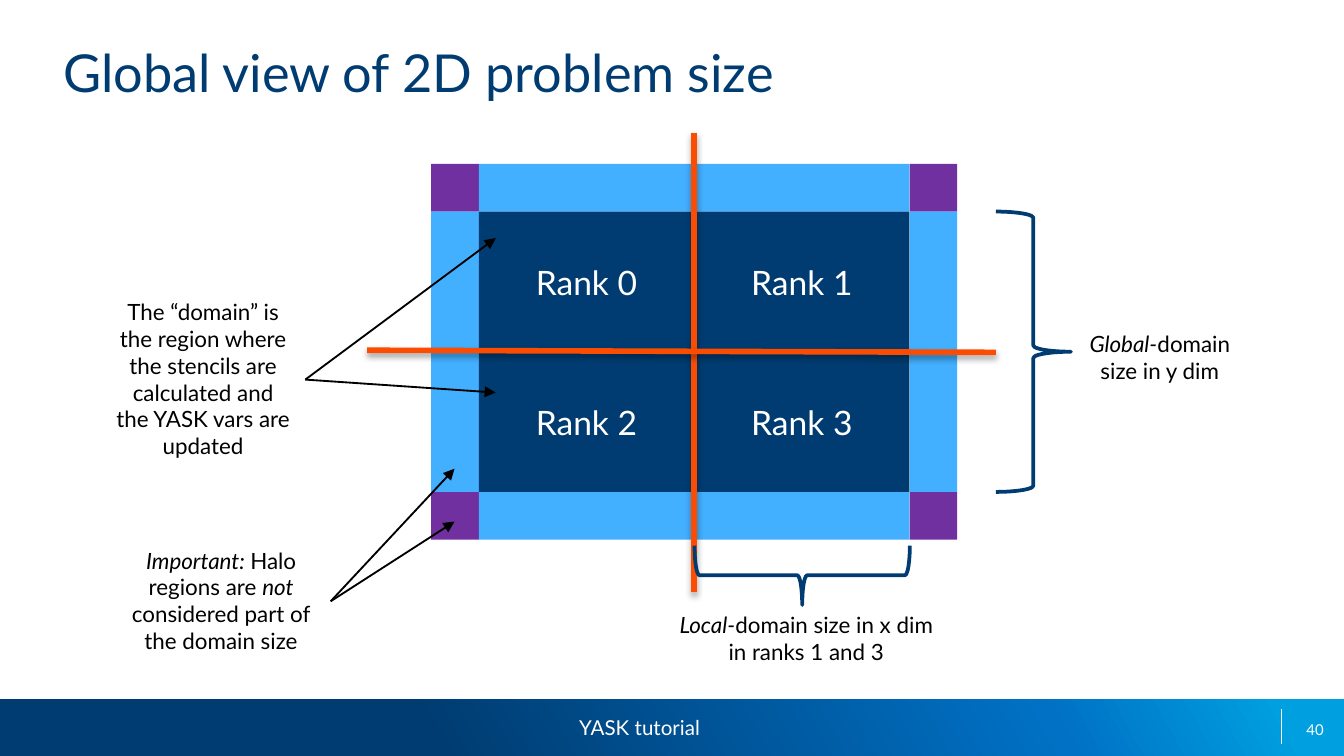
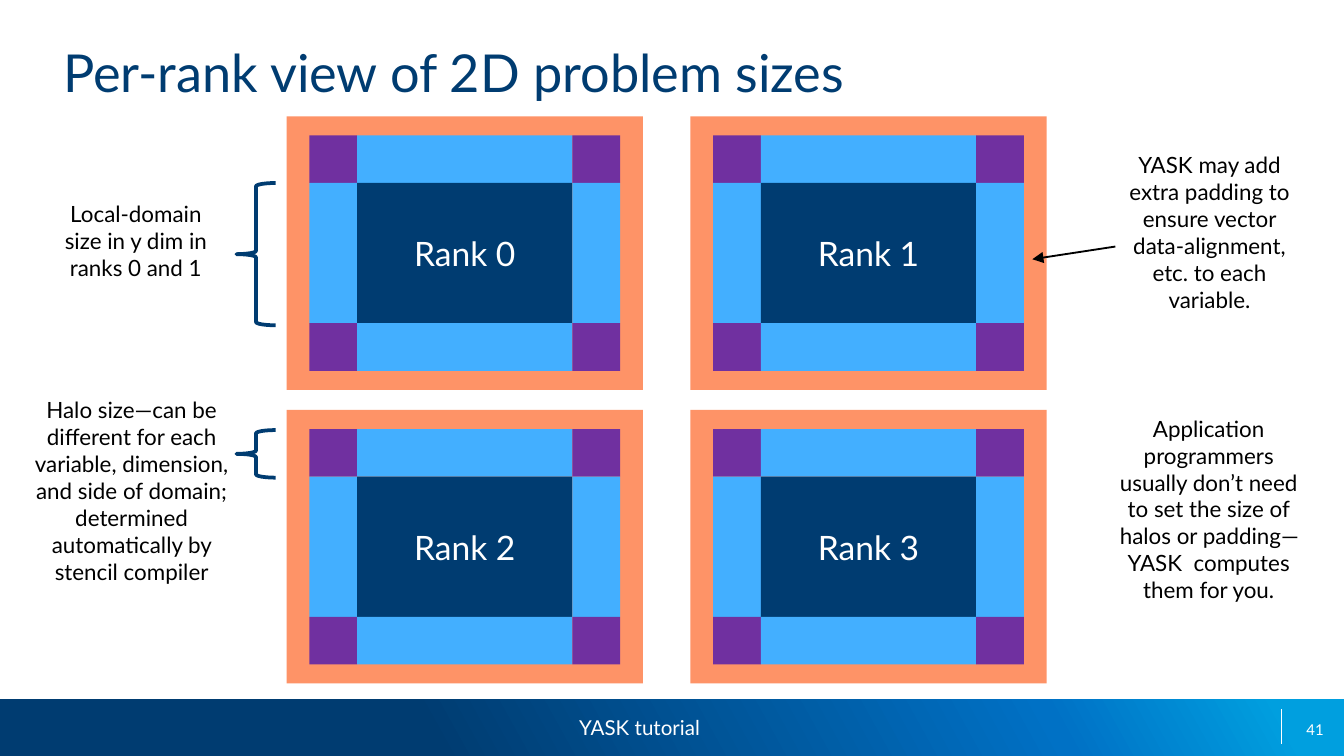
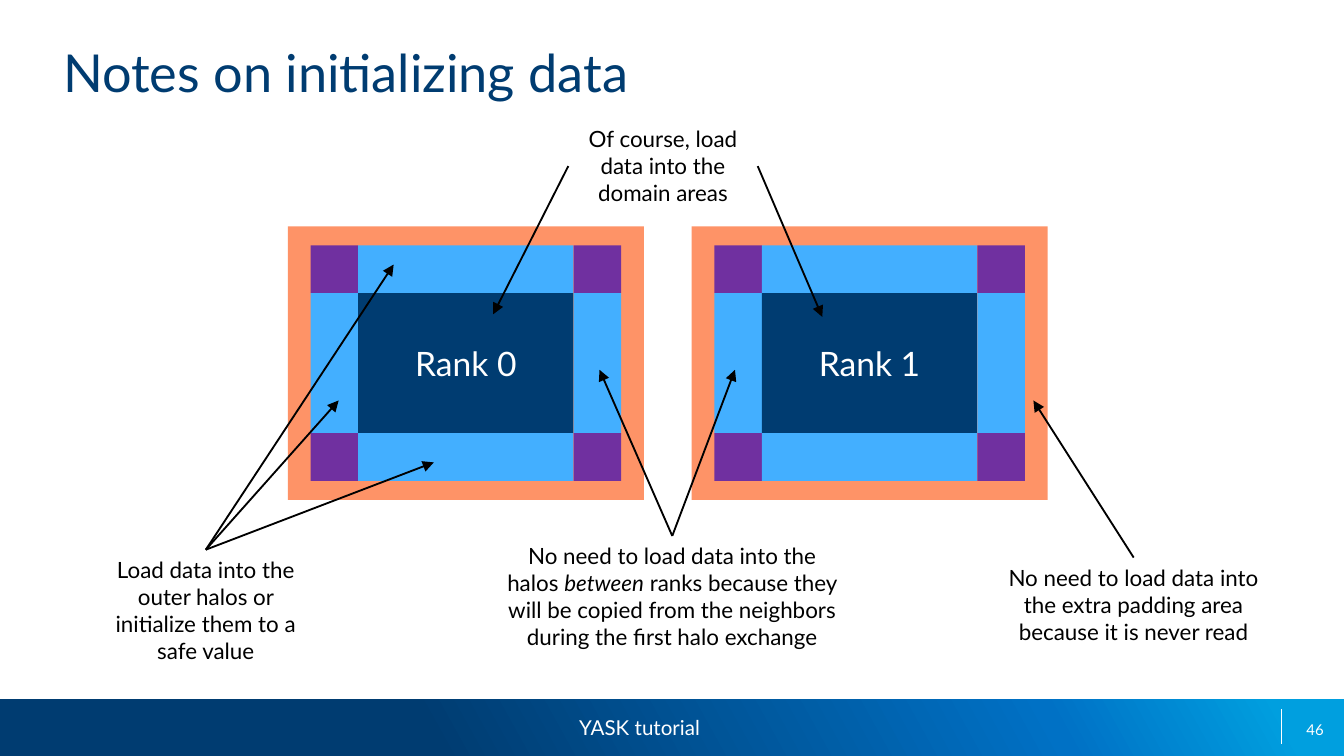
import copy
import itertools

import lxml.etree
import pptx
import pptx.dml.color
import pptx.enum.shapes
import pptx.enum.text
import pptx.oxml
import pptx.oxml.ns
import pptx.util
from pptx.util import Cm

# Shared colours and formats
NAVY = pptx.dml.color.RGBColor(0x00, 0x3C, 0x71)
BLUE = pptx.dml.color.RGBColor(0x00, 0x71, 0xC5)
CYAN = pptx.dml.color.RGBColor(0x00, 0x9F, 0xDF)
LIGHT_BLUE = pptx.dml.color.RGBColor(0x43, 0xAF, 0xFF)
PURPLE = pptx.dml.color.RGBColor(0x70, 0x30, 0xA0)
PEACH = pptx.dml.color.RGBColor(0xFE, 0x93, 0x67)
ORANGE = pptx.dml.color.RGBColor(0xFC, 0x4C, 0x02)
BLACK = pptx.dml.color.RGBColor(0x00, 0x00, 0x00)
WHITE = pptx.dml.color.RGBColor(0xFF, 0xFF, 0xFF)

SHAPE = pptx.enum.shapes.MSO_SHAPE
ALIGN = pptx.enum.text.PP_ALIGN
MIDDLE = {"word_wrap": True, "vertical_anchor": pptx.enum.text.MSO_ANCHOR.MIDDLE}
NO_MARGINS = {"margin_left": 0, "margin_right": 0, "margin_top": 0, "margin_bottom": 0}
GROWING = {"word_wrap": True, "auto_size": pptx.enum.text.MSO_AUTO_SIZE.SHAPE_TO_FIT_TEXT}
TOP, LEFT, RIGHT = 0, 1, 3
DIVIDER_SHADOW = (
    f'<a:outerShdw {pptx.oxml.ns.nsdecls("a")} blurRad="40000" dist="23000" dir="5400000" '
    'rotWithShape="0"><a:srgbClr val="000000"><a:alpha val="35000"/></a:srgbClr></a:outerShdw>'
)

# Rank geometry in cm
DOMAIN_WIDTH, DOMAIN_HEIGHT, HALO = 4.07, 2.65, 0.9
PADDING_X, PADDING_Y = 0.43, 0.36
BOTH_SIDES = (-1, 0, 1)
PIECE_COLORS = (NAVY, LIGHT_BLUE, PURPLE)  # domain, halo, corner


def write_text(frame, text, size, color, align, frame_format):
    """Fill a text frame; parts between asterisks are italic."""
    for name, value in frame_format.items():
        setattr(frame, name, value)
    paragraph = frame.paragraphs[0]
    paragraph.alignment = align
    for index, part in enumerate(text.split("*")):
        if part:
            run = paragraph.add_run()
            run.text = part
            font_format = {"name": "Lato", "size": pptx.util.Pt(size), "italic": index % 2 == 1}
            for name, value in font_format.items():
                setattr(run.font, name, value)
            run.font.color.rgb = color


def add_line(slide, begin, end, color, width):
    """Draw a straight connector and return it with its empty effect list."""
    connector = slide.shapes.add_connector(
        pptx.enum.shapes.MSO_CONNECTOR.STRAIGHT, *map(Cm, begin + end))
    connector.line.color.rgb = color
    connector.line.width = pptx.util.Pt(width)
    properties = connector.element.spPr
    return connector, lxml.etree.SubElement(properties, pptx.oxml.ns.qn("a:effectLst"))


# Slide content, positions in cm
# ranks: label, domain left, domain top, halo sides across, halo sides down
# callouts: text, box, side the arrows leave from, arrow tips
# braces: box, rotation, flipped
SLIDES = [
    {
        "title": "Global view of 2D problem size",
        "number": "40",
        "ranks": [
            (f"Rank {2 * row + column}", 9.05 + column * DOMAIN_WIDTH, 4 + row * DOMAIN_HEIGHT,
             (column * 2 - 1, 0), (row * 2 - 1, 0))
            for row, column in itertools.product(range(2), repeat=2)
        ],
        "dividers": [((13.12, 2.51), (13.12, 11.2)), ((18.82, 6.66), (6.94, 6.62))],
        "callouts": [
            ("*Important: *Halo regions are *not* considered part of the domain size",
             (2.11, 10.21, 4.14, 2.31), RIGHT, [(8.59, 9.86), (8.59, 8.86)]),
            ("The “domain” is the region where the stencils are calculated and the YASK vars "
             "are updated", (1.91, 5.51, 3.86, 3.33), RIGHT, [(9.37, 4.5), (9.37, 7.42)]),
            ("*Global-*domain size in y dim", (20.14, 6.12, 3.56, 1.27), None, []),
            ("*Local-*domain size in x dim in ranks 1 and 3",
             (12.55, 11.43, 5.38, 1.27), None, []),
        ],
        "braces": [((18.82, 4, 1.42, 5.3), 0, False), ((14.6, 8.84, 1.12, 4.07), 90, False)],
    },
    {
        "title": "Per-rank view of 2D problem sizes",
        "number": "41",
        "ranks": [
            (f"Rank {2 * row + column}", 6.75 + column * 7.63, 3.46 + row * 5.55,
             BOTH_SIDES, BOTH_SIDES)
            for row, column in itertools.product(range(2), repeat=2)
        ],
        "dividers": [],
        "callouts": [
            ("Local-domain size in y dim in ranks 0 and 1", (0.69, 3.66, 3.76, 1.8), None, []),
            ("Halo size—can be different for each variable, dimension, and side of domain; "
             "determined automatically by stencil compiler",
             (0.23, 7.37, 4.52, 3.84), None, []),
            ("YASK may add extra padding to ensure vector data-alignment, etc. to each variable.",
             (21.08, 2.74, 3.56, 3.84), LEFT, [(19.51, 4.9)]),
            ("Application programmers usually don’t need to set the size of halos or "
             "padding—YASK  computes them for you.", (20.8, 7.72, 4.09, 4.37), None, []),
        ],
        "braces": [((4.47, 3.46, 0.74, 2.69), 0, True), ((4.47, 8.13, 0.74, HALO), 0, True)],
    },
    {
        "title": "Notes on initializing data",
        "number": "46",
        "ranks": [
            (f"Rank {column}", 6.77 + column * 7.63, 5.54, BOTH_SIDES, BOTH_SIDES)
            for column in range(2)
        ],
        "dividers": [],
        "callouts": [
            ("Of course, load data into the domain areas",
             (10.74, 2.24, 3.58, 1.8), LEFT, [(9.32, 5.94)]),
            ("Load data into the outer halos or initialize them to a safe value",
             (1.68, 10.39, 4.42, 2.31), TOP, [(7.44, 5), (6.4, 7.57), (8.2, 8.74)]),
            ("No need to load data into the halos *between* ranks because they will be copied "
             "from the neighbors during the first halo exchange",
             (9.3, 10.13, 6.81, 2.82), TOP, [(11.33, 6.99), (13.89, 6.99)]),
            ("No need to load data into the extra padding area because it is never read",
             (18.62, 10.54, 5.61, 1.8), TOP, [(19.53, 7.57)]),
        ],
        "braces": [],
    },
]

presentation = pptx.Presentation()
presentation.slide_width = Cm(25.4)
presentation.slide_height = Cm(14.29)

for content in SLIDES:
    slide = presentation.slides.add_slide(presentation.slide_layouts[5])

    # Title
    title = slide.shapes.title
    title.left, title.top, title.width, title.height = map(Cm, (0.94, 0.61, 23.19, 1.47))
    write_text(title.text_frame, content["title"], 28, NAVY, ALIGN.LEFT,
               MIDDLE | {"auto_size": pptx.enum.text.MSO_AUTO_SIZE.NONE})

    # Footer band with a three-colour gradient
    band = slide.shapes.add_shape(SHAPE.RECTANGLE, *map(Cm, (0, 13.22, 25.4, 1.07)))
    band.shadow.inherit = False
    band.line.fill.background()
    band.fill.gradient()
    band.fill.gradient_angle = 29
    stop_list = band.element.spPr.find(".//" + pptx.oxml.ns.qn("a:gsLst"))
    stop_list.append(copy.deepcopy(stop_list[-1]))
    for stop, position, color in zip(band.fill.gradient_stops, (0.32, 0.78, 0.95),
                                     (NAVY, BLUE, CYAN)):
        stop.position = position
        stop.color.rgb = color
    add_line(slide, (24.22, 13.41), (24.22, 14.07), WHITE, 0.75)

    # Footer text and slide number
    footer = slide.shapes.add_textbox(*map(Cm, (7.44, 13.39, 9.3, 0.76)))
    write_text(footer.text_frame, "YASK tutorial", 11, WHITE, ALIGN.CENTER, {"word_wrap": True})
    number = slide.shapes.add_textbox(*map(Cm, (19.1, 13.41, 5.92, 0.76)))
    write_text(number.text_frame, content["number"], 8, WHITE, ALIGN.RIGHT, MIDDLE | NO_MARGINS)

    # Ranks: domain, halos and corners, with padding behind complete ones
    for label, left, top, sides_across, sides_down in content["ranks"]:
        pieces = []
        if sides_across == BOTH_SIDES:
            pieces.append((left - HALO - PADDING_X, top - HALO - PADDING_Y,
                           DOMAIN_WIDTH + 2 * (HALO + PADDING_X),
                           DOMAIN_HEIGHT + 2 * (HALO + PADDING_Y), PEACH))
        for across, down in itertools.product(sides_across, sides_down):
            pieces.append((left + {-1: -HALO, 0: 0, 1: DOMAIN_WIDTH}[across],
                           top + {-1: -HALO, 0: 0, 1: DOMAIN_HEIGHT}[down],
                           HALO if across else DOMAIN_WIDTH,
                           HALO if down else DOMAIN_HEIGHT,
                           PIECE_COLORS[abs(across) + abs(down)]))
        group = slide.shapes.add_group_shape()
        for *box, color in pieces:
            piece = group.shapes.add_shape(SHAPE.RECTANGLE, *map(Cm, box))
            piece.shadow.inherit = False
            piece.fill.solid()
            piece.fill.fore_color.rgb = color
            piece.line.fill.background()
            if color == NAVY:
                write_text(piece.text_frame, label, 18, WHITE, ALIGN.CENTER, MIDDLE)

    # Dividers between ranks
    for begin, end in content["dividers"]:
        divider, effects = add_line(slide, begin, end, ORANGE, 3)
        effects.append(pptx.oxml.parse_xml(DIVIDER_SHADOW))

    # Callouts and their arrows
    for text, box, side, tips in content["callouts"]:
        callout = slide.shapes.add_textbox(*map(Cm, box))
        write_text(callout.text_frame, text, 12, BLACK, ALIGN.CENTER, GROWING)
        arrows = [(side, tip) for tip in tips]
        if text.startswith("Of course"):
            arrows.append((RIGHT, (15.54, 5.99)))
        for arrow_side, tip in arrows:
            arrow, effects = add_line(slide, tip, tip, BLACK, 1)
            arrow.begin_connect(callout, arrow_side)
            lxml.etree.SubElement(arrow.line._get_or_add_ln(), pptx.oxml.ns.qn("a:tailEnd"),
                                  type="triangle")

    # Braces
    for box, rotation, flipped in content["braces"]:
        brace = slide.shapes.add_shape(SHAPE.RIGHT_BRACE, *map(Cm, box))
        brace.shadow.inherit = False
        brace.fill.background()
        brace.line.color.rgb = NAVY
        brace.line.width = pptx.util.Pt(2)
        brace.rotation = rotation
        if flipped:
            brace.element.spPr.xfrm.set("flipH", "1")

presentation.save("out.pptx")
